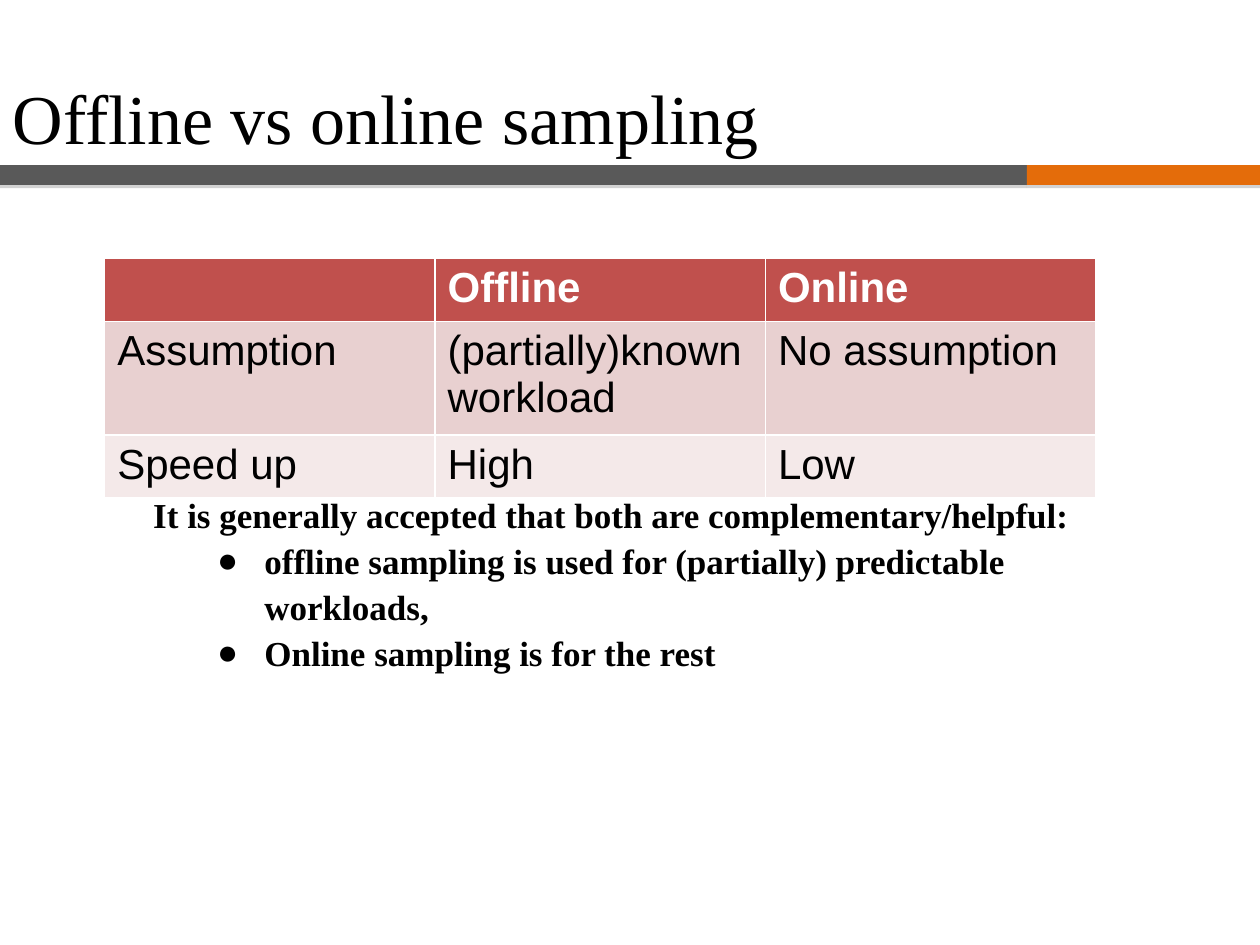
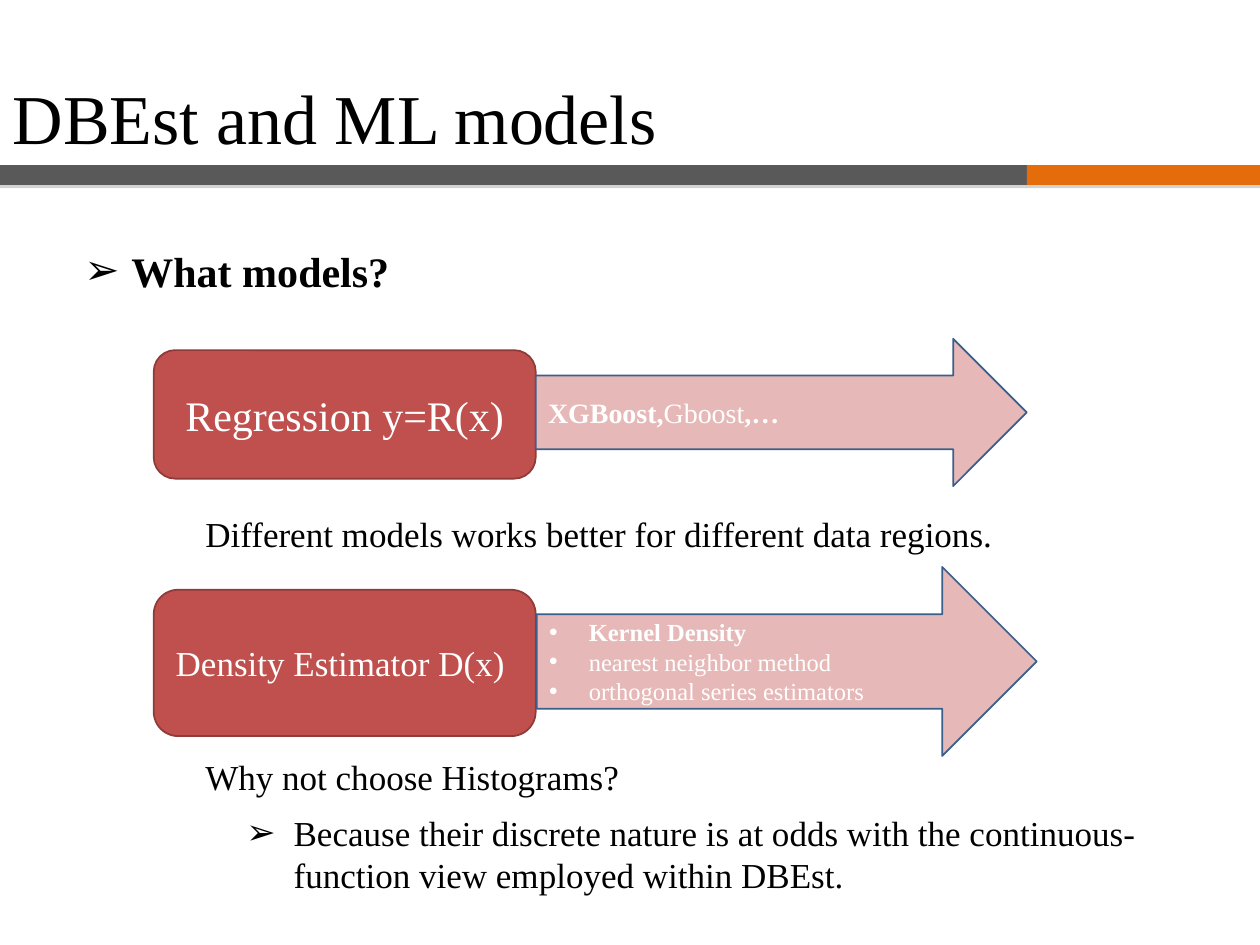
import pptx
import pptx.dml.color
import pptx.enum.shapes
import pptx.enum.text
import pptx.oxml.ns
import pptx.util
from lxml import etree

Cm = pptx.util.Cm
Pt = pptx.util.Pt
SHAPE = pptx.enum.shapes.MSO_SHAPE
ANCHOR = pptx.enum.text.MSO_ANCHOR
ALIGN = pptx.enum.text.PP_ALIGN
qn = pptx.oxml.ns.qn
color = pptx.dml.color.RGBColor.from_string

SERIF = "Times New Roman"
BLACK, WHITE = "000000", "FFFFFF"
GREY, ORANGE, SHADOW = "595959", "E46C0A", "808080"
RED, DARK_RED, PINK, BLUE = "C0504D", "8E3B39", "E6B9B8", "3A5F8C"
BODY_FILLS = ["E8D0D0", "F4E9E9"]
HANG = 0.95


def write(frame, spans, size, hue=BLACK, font=SERIF, bullet=None, left=0, hang=HANG,
          align=ALIGN.LEFT, spacing=None):
    """Add one paragraph of (text, bold) spans, reusing a frame's empty first one."""
    first = frame.paragraphs[0]
    para = frame.add_paragraph() if first.runs else first
    properties = para._p.get_or_add_pPr()
    properties.set("marL", str(Cm(left)))
    if bullet:
        properties.set("indent", str(-Cm(hang)))
        etree.SubElement(properties, qn("a:buFont"), typeface="Arial")
        etree.SubElement(properties, qn("a:buChar"), char=bullet)
    para.alignment = align
    para.line_spacing = spacing
    for text, bold in spans:
        span = para.add_run()
        span.text = text
        span.font.name = font
        span.font.size = Pt(size)
        span.font.bold = bold
        span.font.color.rgb = color(hue)


def add_box(page, left, top, width, height, preset=None, fill=None, line=None):
    """Add a text box, or a preset shape when one is named, lengths in cm."""
    place = [Cm(length) for length in (left, top, width, height)]
    if preset is None:
        box = page.shapes.add_textbox(*place)
    else:
        box = page.shapes.add_shape(preset, *place)
        box.shadow.inherit = False
        box.fill.solid()
        box.fill.fore_color.rgb = color(fill)
        if line:
            box.line.color.rgb = color(line)
            box.line.width = Pt(1)
        else:
            box.line.fill.background()
        box.text_frame.vertical_anchor = ANCHOR.MIDDLE
    box.text_frame.word_wrap = True
    return box


deck = pptx.Presentation()
deck.slide_width, deck.slide_height = Cm(25.4), Cm(19.05)

# Title and two-colour band on every slide
pages = []
for heading in ["Offline vs online sampling", "DBEst and ML models"]:
    page = deck.slides.add_slide(deck.slide_layouts[5])
    pages.append(page)
    for left, width, fill in [(0, 20.7, GREY), (20.7, 4.7, ORANGE)]:
        band = add_box(page, left, 3.33, width, 0.4, SHAPE.RECTANGLE, fill)
        effects = band._element.spPr.find(qn("a:effectLst"))
        shadow = etree.SubElement(effects, qn("a:outerShdw"), dist=str(Pt(1.8)),
                                  dir="5400000", rotWithShape="0")
        tint = etree.SubElement(shadow, qn("a:srgbClr"), val=SHADOW)
        etree.SubElement(tint, qn("a:alpha"), val="34000")
    title = page.shapes.title
    title.left, title.top, title.width, title.height = Cm(0), Cm(1.07), Cm(18.06), Cm(2.57)
    title.text_frame.vertical_anchor = ANCHOR.MIDDLE
    write(title.text_frame, [(heading, False)], 40)
sampling_page, models_page = pages

# Offline vs online sampling
notes = add_box(sampling_page, 0.3, 9.73, 22.6, 5.08).text_frame
write(notes, [("It is generally accepted that both are complementary/helpful:", True)], 20,
      left=2.54, spacing=1.1)
for use in ["offline sampling is used for (partially) predictable workloads,",
            "Online sampling is for the rest"]:
    write(notes, [(use, True)], 20, bullet="●", left=4.78, spacing=1.1)

rows = [["", "Offline", "Online"],
        ["Assumption", "(partially)known workload", "No assumption"],
        ["Speed up", "High", "Low"]]
table = sampling_page.shapes.add_table(3, 3, Cm(2.11), Cm(5.21), Cm(19.98), Cm(4.78)).table
for column in table.columns:
    column.width = Cm(6.66)
for number, (texts, height) in enumerate(zip(rows, [1.25, 2.28, 1.25])):
    header = number == 0
    table.rows[number].height = Cm(height)
    for cell, text in zip(table.rows[number].cells, texts):
        cell.fill.solid()
        cell.fill.fore_color.rgb = color(RED if header else BODY_FILLS[number - 1])
        if text:
            write(cell.text_frame, [(text, header)], 24, WHITE if header else BLACK, "Arial")

# DBEst and ML models
question = add_box(models_page, 1.45, 4.72, 13.6, 1.3).text_frame
write(question, [("What models?", True)], 24, bullet="➢", left=HANG, spacing=1.1)

for text, size, top, height in [("Regression y=R(x)", 24, 7.06, 2.59),
                                ("Density Estimator D(x) ", 20, 11.89, 2.95)]:
    model = add_box(models_page, 3.1, top, 7.7, height, SHAPE.ROUNDED_RECTANGLE, RED, DARK_RED)
    write(model.text_frame, [(text, False)], size, WHITE, align=ALIGN.CENTER)

boosters = add_box(models_page, 10.8, 6.83, 9.9, 2.97, SHAPE.RIGHT_ARROW, PINK, BLUE)
write(boosters.text_frame, [("XGBoost,", True), ("Gboost", False), (",…", True)], 16, WHITE)

estimators = add_box(models_page, 10.82, 11.43, 10.08, 3.81, SHAPE.RIGHT_ARROW, PINK, BLUE)
for method, bold in [("Kernel Density", True), ("nearest neighbor method", False),
                     ("orthogonal series estimators", False)]:
    write(estimators.text_frame, [(method, bold)], 14, WHITE, bullet="•", left=0.8, hang=0.8)

for text, left, top, width, height, bullet in [
        ("Different models works better for different data regions.", 3.89, 10.21, 20.7, 1.12, None),
        ("Why not choose Histograms?", 3.89, 15.11, 13.3, 1.12, None),
        ("Because their discrete nature is at odds with the continuous-function view "
         "employed within DBEst.", 4.72, 16.23, 20.6, 1.96, "➢")]:
    remark = add_box(models_page, left, top, width, height).text_frame
    write(remark, [(text, False)], 20, bullet=bullet, left=HANG if bullet else 0)

deck.save("out.pptx")
